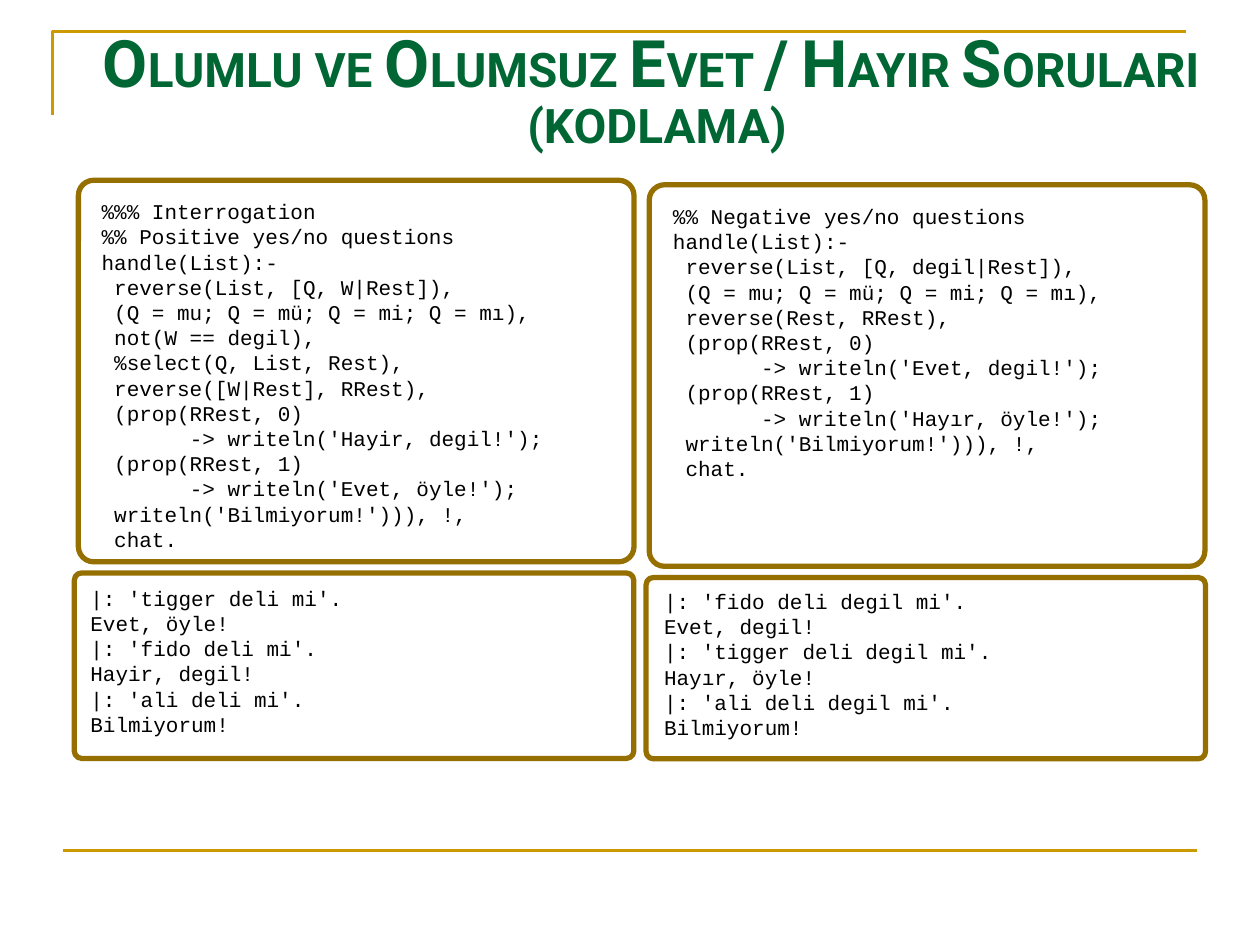
"""Builds the slide on Turkish yes/no questions: code panels above, sample dialogues below."""
from pptx import Presentation
from pptx.dml.color import RGBColor
from pptx.enum import shapes, text
from pptx.oxml import ns
from pptx.util import Pt
from lxml import etree

COLORS = {"gold": "CC9900", "frame": "956F00", "title": "006633", "code": "000000"}
CHAR_WIDTH = 7.2
TITLE = "O|LUMLU VE |O|LUMSUZ |E|VET |/| |H|AYIR |S|ORULARI "

POSITIVE_CODE = """%%% Interrogation
%% Positive yes/no questions
handle(List):-
 reverse(List, [Q, W|Rest]),
 (Q = mu; Q = mü; Q = mi; Q = mı),
 not(W == degil),
 %select(Q, List, Rest),
 reverse([W|Rest], RRest),
 (prop(RRest, 0)
       -> writeln('Hayir, degil!');
 (prop(RRest, 1)
       -> writeln('Evet, öyle!');
 writeln('Bilmiyorum!'))), !,
 chat."""

NEGATIVE_CODE = """%% Negative yes/no questions
handle(List):-
 reverse(List, [Q, degil|Rest]),
 (Q = mu; Q = mü; Q = mi; Q = mı),
 reverse(Rest, RRest),
 (prop(RRest, 0)
       -> writeln('Evet, degil!');
 (prop(RRest, 1)
       -> writeln('Hayır, öyle!');
 writeln('Bilmiyorum!'))), !,
 chat."""

POSITIVE_DIALOGUE = """|: 'tigger deli mi'.
Evet, öyle!
|: 'fido deli mi'.
Hayir, degil!
|: 'ali deli mi'.
Bilmiyorum!"""

NEGATIVE_DIALOGUE = """|: 'fido deli degil mi'.
Evet, degil!
|: 'tigger deli degil mi'.
Hayır, öyle!
|: 'ali deli degil mi'.
Bilmiyorum!"""


def points(values):
    """Turns plain numbers into lengths in points."""
    return [Pt(value) for value in values]


def style_line(line, color, width):
    """Sets the colour and width of a line."""
    line.color.rgb = RGBColor.from_string(COLORS[color])
    line.width = Pt(width)


def write(frame, lines, font="Courier New", color="code", bold=False,
          align=text.PP_ALIGN.LEFT, leading=14.4, wrap=True):
    """Fills a frame with lines, each a pair of indent and (text, size) spans."""
    frame.auto_size = text.MSO_AUTO_SIZE.NONE
    frame.vertical_anchor = text.MSO_ANCHOR.TOP
    frame.word_wrap = wrap
    for index, (indent, spans) in enumerate(lines):
        para = frame.paragraphs[0] if index == 0 else frame.add_paragraph()
        para.alignment = align
        para.line_spacing = Pt(leading)
        if indent:
            properties = para._p.get_or_add_pPr()
            properties.set("marL", str(Pt(indent)))
            properties.set("indent", "0")
        for words, size in spans:
            span = para.add_run()
            span.text = words
            span.font.name = font
            span.font.size = Pt(size)
            span.font.bold = bold
            span.font.color.rgb = RGBColor.from_string(COLORS[color])


def add_rules(page):
    """Draws the corner rule at the top and the straight rule at the bottom."""
    builder = page.shapes.build_freeform(Pt(30), Pt(66))
    builder.add_line_segments([points((30, 18)), points((678, 18))], close=False)
    corner = builder.convert_to_shape()
    corner.fill.background()
    corner.shadow.inherit = False
    style_line(corner.line, "gold", 1.5)
    bottom = page.shapes.add_connector(
        shapes.MSO_CONNECTOR.STRAIGHT, *points((36, 486, 684, 486)))
    style_line(bottom.line, "gold", 1.5)
    etree.SubElement(bottom._element.spPr, ns.qn("a:effectLst"))


def add_title(page):
    """Places the title, with large initials in its first line."""
    title = page.shapes.title
    title.left, title.top, title.width, title.height = points((34.5, 23.8, 682, 58.3))
    initials = [(words, 27.2 if index % 2 else 37.4)
                for index, words in enumerate(TITLE.split("|"))]
    write(title.text_frame, [(0, initials), (0, [("(KODLAMA)", 27.2)])],
          font="Roboto", color="title", bold=True,
          align=text.PP_ALIGN.CENTER, leading=30)


def add_panel(page, frame_box, text_box, listing, wrap):
    """Draws a rounded frame with a listing in it, indented by its leading spaces."""
    panel = page.shapes.add_shape(
        shapes.MSO_SHAPE.ROUNDED_RECTANGLE, *points(frame_box))
    panel.adjustments[0] = 0.04
    panel.fill.background()
    panel.shadow.inherit = False
    style_line(panel.line, "frame", 3)
    lines = []
    for line in listing.splitlines():
        words = line.lstrip()
        lines.append(((len(line) - len(words)) * CHAR_WIDTH, [(words, 12)]))
    box = page.shapes.add_textbox(*points(text_box))
    write(box.text_frame, lines, wrap=wrap)


def main():
    """Builds and saves the deck."""
    deck = Presentation()
    deck.slide_width, deck.slide_height = points((720, 540))
    page = deck.slides.add_slide(deck.slide_layouts[5])
    add_rules(page)
    add_panel(page, (44.8, 103, 317.5, 218), (51, 110, 266.4, 208.8),
              POSITIVE_CODE, wrap=False)
    add_panel(page, (42.5, 327.4, 319.7, 106), (44.6, 331, 235.4, 93.6),
              POSITIVE_DIALOGUE, wrap=True)
    add_panel(page, (371, 105.6, 317.5, 218), (377.5, 112.8, 259.2, 165.6),
              NEGATIVE_CODE, wrap=False)
    add_panel(page, (369.2, 330, 319.7, 103.6), (372.4, 332.8, 235.4, 108),
              NEGATIVE_DIALOGUE, wrap=True)
    add_title(page)
    deck.save("out.pptx")


if __name__ == "__main__":
    main()
